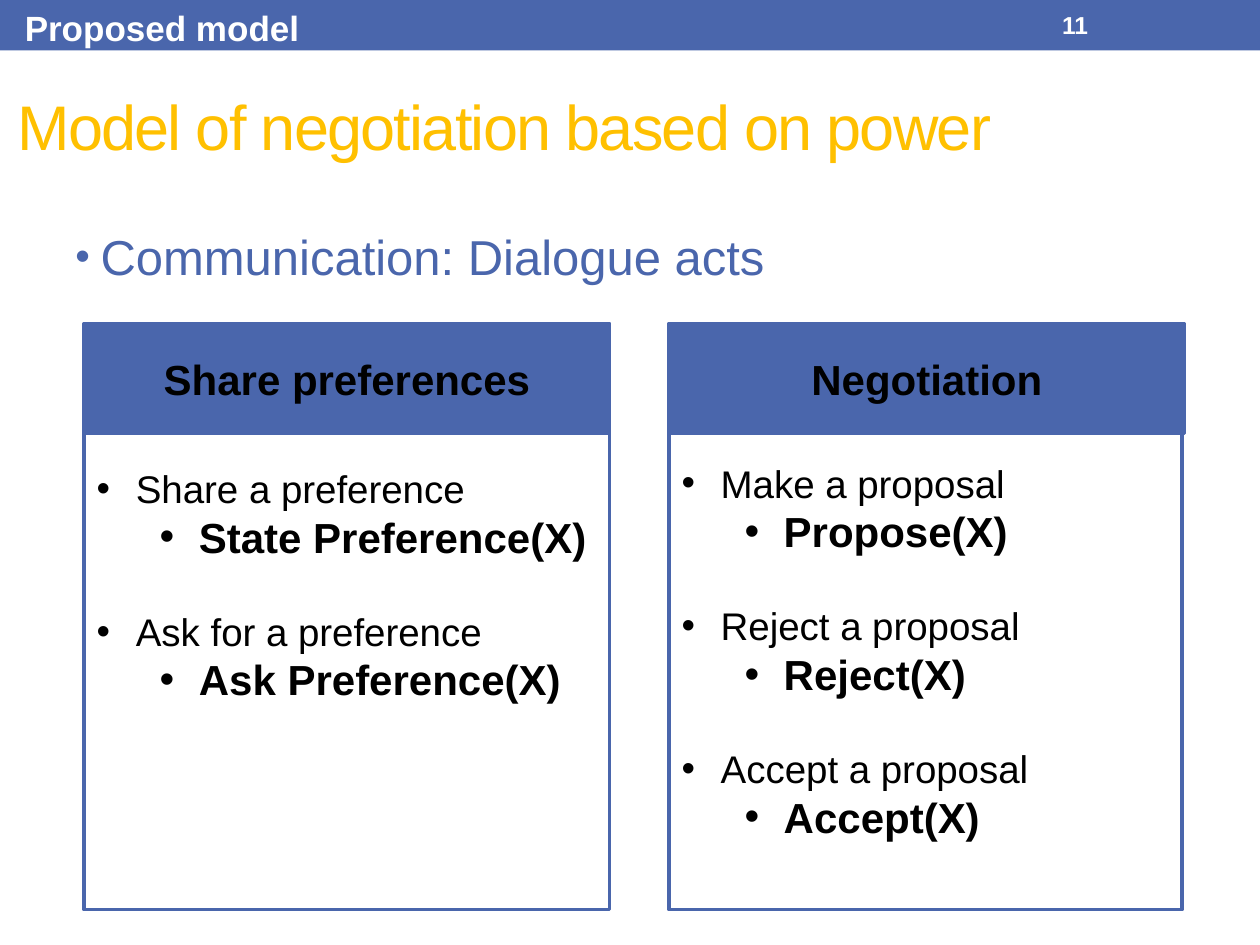
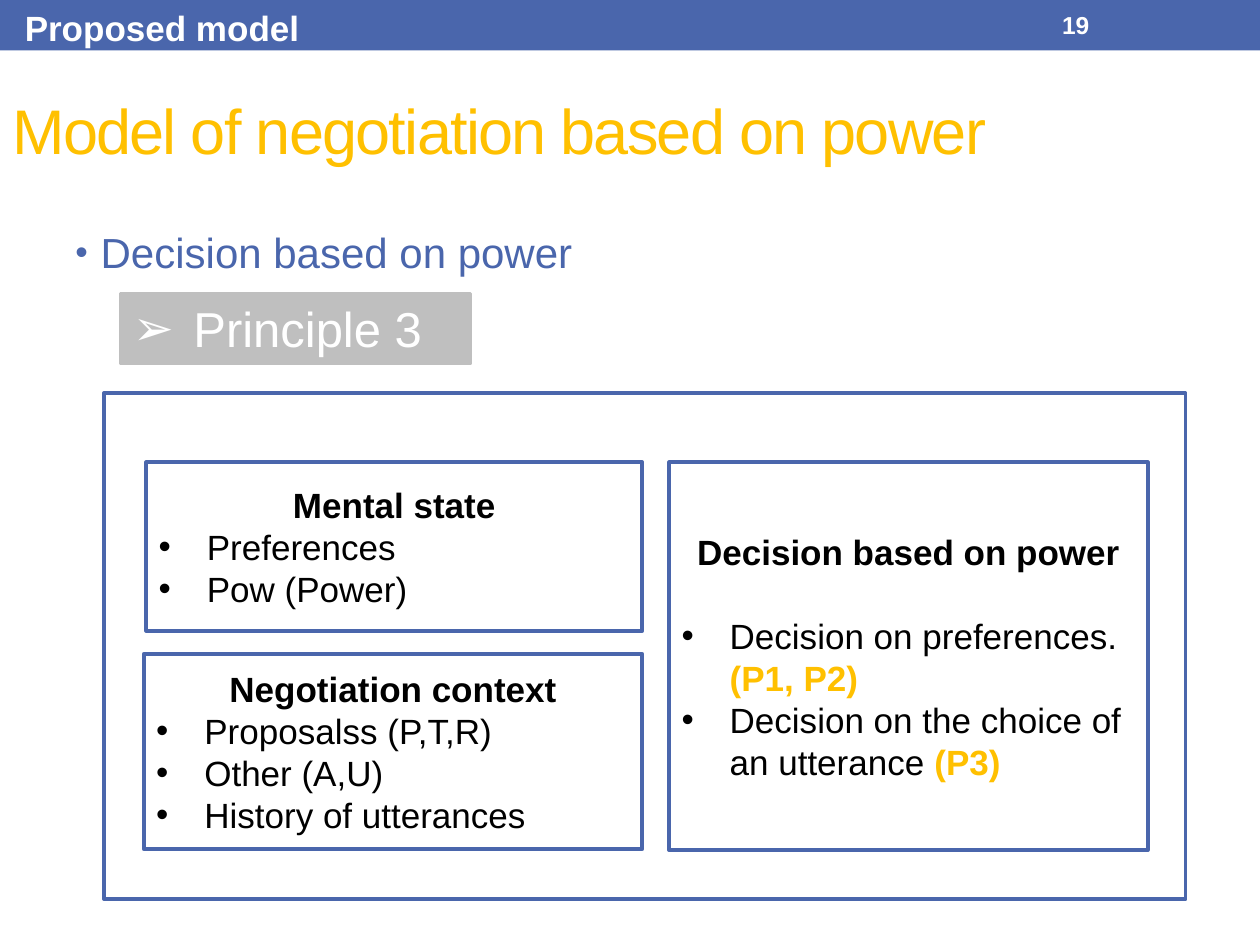
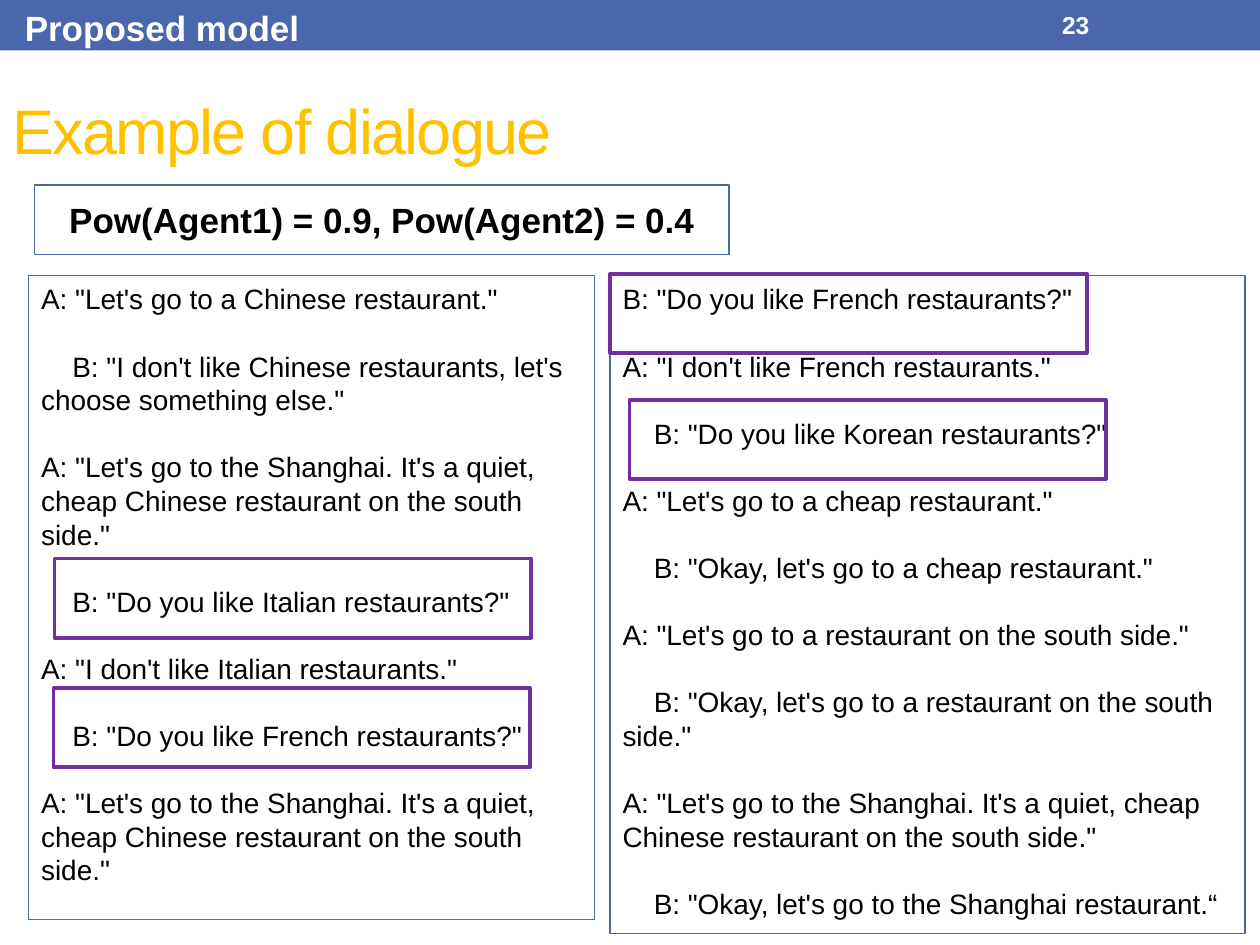
from lxml import etree
from pptx import Presentation
from pptx.dml.color import RGBColor
from pptx.enum.shapes import MSO_SHAPE as SHAPE
from pptx.enum.text import MSO_ANCHOR as ANCHOR, PP_ALIGN as ALIGN
from pptx.oxml.ns import qn
from pptx.util import Cm, Pt

COLORS = {
    "blue": "4A66AC",
    "gold": "FFC000",
    "grey": "BFBFBF",
    "purple": "7030A0",
    "white": "FFFFFF",
    "black": "000000",
}
FONT = "Arial"
THICK, THIN = 2.08, 0.75
LINE = 1.2  # line height as a multiple of the text size


def rgb(name):
    return RGBColor.from_string(COLORS[name])


def set_bullet(p, char, color=None, percent=None):
    pPr = p._p.get_or_add_pPr()
    if color:
        bu_color = etree.SubElement(pPr, qn("a:buClr"))
        etree.SubElement(bu_color, qn("a:srgbClr"), val=COLORS[color])
    if percent:
        etree.SubElement(pPr, qn("a:buSzPct"), val=str(percent * 1000))
    etree.SubElement(pPr, qn("a:buFont"), typeface=FONT)
    etree.SubElement(pPr, qn("a:buChar"), char=char)


def write(tf, text, size=20, color="black", bold=False, align=ALIGN.LEFT, left=0,
          indent=0, before=0, spacing=0, bullet=None, bullet_color=None,
          bullet_percent=None):
    """Append a paragraph; text is a string or a list of (text, color, bold) runs."""
    p = tf.paragraphs[0]
    if p.runs:
        p = tf.add_paragraph()
        p.space_before = Pt(before)
    p.alignment = align
    pPr = p._p.get_or_add_pPr()
    pPr.set("marL", str(Cm(left)))
    pPr.set("indent", str(Cm(indent)))
    if bullet:
        set_bullet(p, bullet, bullet_color, bullet_percent)
    runs = [(text, color, bold)] if isinstance(text, str) else text
    for run_text, run_color, run_bold in runs:
        r = p.add_run()
        r.text = run_text
        r.font.name, r.font.size, r.font.bold = FONT, Pt(size), run_bold
        r.font.color.rgb = rgb(run_color)
        if spacing:
            r._r.get_or_add_rPr().set("spc", str(spacing * 100))


class Deck:
    """The presentation style and the slide being filled; lengths are in cm."""

    def __init__(self):
        self.prs = Presentation()
        self.prs.slide_width, self.prs.slide_height = Cm(25.4), Cm(19.05)
        self.slide = None

    def new_slide(self, title, number, title_at=(0, 1.02)):
        self.slide = self.prs.slides.add_slide(self.prs.slide_layouts[6])
        self.box(0, 0, 25.4, 1.02, fill="blue")
        write(self.text(0.25, 0, 6.1, 1.12, wrap=False), "Proposed model",
              color="white", bold=True)
        write(self.text(21.16, 0.05, 2.97, 0.91, ANCHOR.MIDDLE), number,
              size=14, color="white", bold=True)
        write(self.text(*title_at, 24.89, 3.18, ANCHOR.MIDDLE), title,
              size=36, color="gold", spacing=-1)

    def box(self, x, y, w, h, fill=None, line=None, width=THICK, anchor=ANCHOR.MIDDLE):
        sp = self.slide.shapes.add_shape(SHAPE.RECTANGLE, Cm(x), Cm(y), Cm(w), Cm(h))
        sp.shadow.inherit = False
        if fill:
            sp.fill.solid()
            sp.fill.fore_color.rgb = rgb(fill)
        else:
            sp.fill.background()
        if line:
            sp.line.color.rgb = rgb(line)
            sp.line.width = Pt(width)
        else:
            sp.line.fill.background()
        tf = sp.text_frame
        tf.word_wrap, tf.vertical_anchor = True, anchor
        return tf

    def text(self, x, y, w, h, anchor=ANCHOR.TOP, wrap=True):
        tf = self.slide.shapes.add_textbox(Cm(x), Cm(y), Cm(w), Cm(h)).text_frame
        tf.word_wrap, tf.vertical_anchor = wrap, anchor
        return tf

    def topic(self, text, size):
        write(self.text(1.27, 4.45, 22.86, 1.47), text, size=size, color="blue",
              left=0.51, indent=-0.51, bullet="•", bullet_color="blue",
              bullet_percent=85)

    def act_card(self, x, w, header_w, heading, text_y, acts):
        """Framed column of dialogue acts, each with its formal name below."""
        y = 6.53
        self.box(x, y, w, 11.81, fill="white", line="blue")
        write(self.box(x, y, header_w, 2.21, fill="blue", line="blue"), heading,
              size=24, bold=True, align=ALIGN.CENTER)
        tf = self.text(x, text_y, w, 8)
        for act, formal in acts:
            write(tf, act, size=22, left=0.79, indent=-0.79, before=22 * LINE, bullet="•")
            write(tf, formal, size=24, bold=True, left=2.06, indent=-0.79, bullet="•")

    def list_box(self, x, y, w, h, heading, items, gap=0):
        tf = self.box(x, y, w, h, line="blue")
        write(tf, heading, bold=True, align=ALIGN.CENTER)
        for i, item in enumerate(items):
            write(tf, item, left=0.97, indent=-0.97, bullet="•",
                  before=0 if i else gap)

    def dialogue(self, x, w, h, turns):
        """Box of dialogue turns; indented is True for a turn set in from the left."""
        tf = self.box(x, 5.56, w, h, line="blue", width=THIN, anchor=ANCHOR.TOP)
        for indented, turn in turns:
            write(tf, turn, size=16, indent=0.63 if indented else 0, before=16 * LINE)


def dialogue_acts(deck):
    deck.new_slide("Model of negotiation based on power", "11", (0.1, 0.94))
    deck.topic("Communication: Dialogue acts", 28)
    deck.act_card(1.7, 10.59, 10.59, "Share preferences", 9.25, [
        ("Share a preference", "State Preference(X)"),
        ("Ask for a preference", "Ask Preference(X)"),
    ])
    deck.act_card(13.49, 10.34, 10.39, "Negotiation", 9.14, [
        ("Make a proposal", "Propose(X)"),
        ("Reject a proposal", "Reject(X)"),
        ("Accept a proposal", "Accept(X)"),
    ])


def decision_model(deck):
    deck.new_slide("Model of negotiation based on power", "19")
    deck.topic("Decision based on power", 24)
    deck.box(2.1, 7.92, 21.8, 10.21, line="blue")
    deck.list_box(2.95, 9.32, 10, 3.4, "Mental state", ["Preferences", "Pow (Power)"])
    deck.list_box(2.9, 13.18, 10.05, 3.94, "Negotiation context",
                  ["Proposalss (P,T,R)", "Other (A,U)", "History of utterances"])
    deck.list_box(13.49, 9.32, 9.65, 7.82, "Decision based on power", [
        [("Decision on preferences. ", "black", False), ("(P1, P2)", "gold", True)],
        [("Decision on the choice of an utterance ", "black", False),
         ("(P3)", "gold", True)],
    ], gap=20 * LINE)
    write(deck.box(2.43, 5.92, 7.06, 1.4, fill="grey", line="grey"), "Principle 3",
          size=28, color="white", left=1.22, indent=-1.22, bullet="➢")


def example_dialogue(deck):
    shanghai = ("A: \"Let's go to the Shanghai. It's a quiet, cheap Chinese "
                "restaurant on the south side.\"")
    deck.new_slide("Example of dialogue", "23")
    deck.dialogue(0.58, 11.4, 12.98, [
        (False, "A: \"Let's go to a Chinese restaurant.\""),
        (True, "B: \"I don't like Chinese restaurants, let's choose something else.\""),
        (False, shanghai),
        (True, "B: \"Do you like Italian restaurants?\""),
        (False, "A: \"I don't like Italian restaurants.\""),
        (True, "B: \"Do you like French restaurants?\""),
        (False, shanghai),
    ])
    deck.dialogue(12.3, 12.8, 13.26, [
        (False, "B: \"Do you like French restaurants?\""),
        (False, "A: \"I don't like French restaurants.\""),
        (True, "B: \"Do you like Korean restaurants?\""),
        (False, "A: \"Let's go to a cheap restaurant.\""),
        (True, "B: \"Okay, let's go to a cheap restaurant.\""),
        (False, "A: \"Let's go to a restaurant on the south side.\""),
        (True, "B: \"Okay, let's go to a restaurant on the south side.\""),
        (False, shanghai),
        (True, "B: \"Okay, let's go to the Shanghai restaurant.“"),
    ])
    write(deck.box(0.7, 3.73, 14, 1.4, line="blue", width=THIN),
          "Pow(Agent1) = 0.9, Pow(Agent2) = 0.4", bold=True, align=ALIGN.CENTER)
    for x, y in [(1.1, 11.26), (1.08, 13.87), (12.69, 8.06), (12.3, 5.52)]:
        deck.box(x, y, 9.61, 1.6, line="purple")


def main():
    deck = Deck()
    dialogue_acts(deck)
    decision_model(deck)
    example_dialogue(deck)
    deck.prs.save("out.pptx")


if __name__ == "__main__":
    main()
